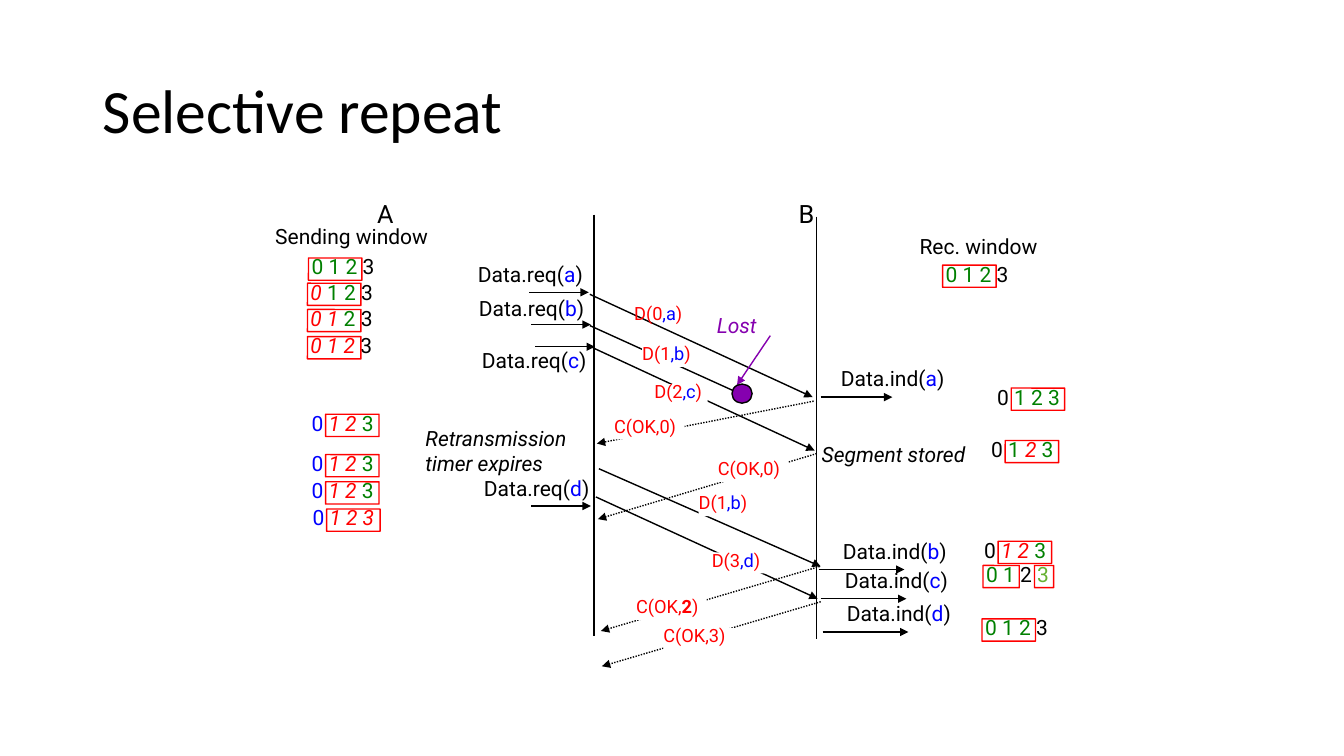
from lxml import etree
from pptx import Presentation
from pptx.dml.color import RGBColor
from pptx.enum.dml import MSO_LINE
from pptx.enum.shapes import MSO_CONNECTOR, MSO_SHAPE
from pptx.enum.text import MSO_ANCHOR, MSO_AUTO_SIZE, PP_ALIGN
from pptx.oxml.ns import qn
from pptx.util import Inches, Pt

STRAIGHT = MSO_CONNECTOR.STRAIGHT
FRAME, DOT = MSO_SHAPE.ROUNDED_RECTANGLE, MSO_SHAPE.OVAL
DOTTED = MSO_LINE.ROUND_DOT
TOP, MIDDLE = MSO_ANCHOR.TOP, MSO_ANCHOR.MIDDLE
LEFT, NO_FIT = PP_ALIGN.LEFT, MSO_AUTO_SIZE.NONE

CELL = 0.1  # inches per grid column and row
BLACK, WHITE, RED, BLUE = "000000", "FFFFFF", "FF0000", "0000FF"
GREEN, LIME, PURPLE = "008000", "66B132", "8500AF"

# One letter for the state of each sequence number: colour and italic
STATES = {"f": (GREEN, False), "s": (RED, True), "k": (BLACK, False),
          "b": (BLUE, False), "l": (LIME, False)}


def color(code):
    return RGBColor.from_string(code)


def grid(cells):
    return Inches(cells * CELL)


def write(paragraph, text, size=15, font="Roboto", fill=BLACK, italic=False, bold=False):
    for number, line in enumerate(text.split("\n")):
        if number:
            paragraph.add_line_break()
        run = paragraph.add_run()
        run.text = line
        run.font.size, run.font.name = Pt(size), font
        run.font.italic, run.font.bold = italic, bold
        run.font.color.rgb = color(fill)


class SequenceDiagram:
    digit_pitch = 1.7

    def __init__(self, slide):
        self.slide = slide

    def title(self, text, left, top, width, height):
        shape = self.slide.shapes.title
        shape.left, shape.top = grid(left), grid(top)
        shape.width, shape.height = grid(width), grid(height)
        frame = shape.text_frame
        frame.auto_size, frame.vertical_anchor = NO_FIT, MIDDLE
        paragraph = frame.paragraphs[0]
        paragraph.alignment, paragraph.line_spacing = LEFT, 0.9
        write(paragraph, text, size=44, font="Calibri")

    def label(self, left, top, width, height, runs, spacing=0.84, masked=False):
        box = self.slide.shapes.add_textbox(grid(left), grid(top), grid(width), grid(height))
        if masked:
            box.fill.solid()
            box.fill.fore_color.rgb = color(WHITE)
        frame = box.text_frame
        frame.word_wrap, frame.auto_size, frame.vertical_anchor = False, NO_FIT, TOP
        frame.margin_left = frame.margin_right = frame.margin_top = frame.margin_bottom = 0
        paragraph = frame.paragraphs[0]
        paragraph.alignment, paragraph.line_spacing = LEFT, spacing
        for text, style in runs:
            write(paragraph, text, **style)

    def note(self, left, top, width, height, text, fill=BLACK):
        self.label(left, top, width, height, [(text, dict(fill=fill, italic=True))], spacing=0.97)

    def line(self, start, end, fill=BLACK, arrow=True, dotted=False):
        connector = self.slide.shapes.add_connector(STRAIGHT, *map(grid, start + end))
        connector.line.width = Pt(1)
        connector.line.color.rgb = color(fill)
        if dotted:
            connector.line.dash_style = DOTTED
        properties = connector._element.spPr
        if arrow:
            etree.SubElement(properties.find(qn("a:ln")), qn("a:tailEnd"), type="triangle")
        etree.SubElement(properties, qn("a:effectLst"))

    def outline(self, kind, left, top, width, height, line, fill=None):
        shape = self.slide.shapes.add_shape(
            kind, grid(left), grid(top), grid(width), grid(height))
        shape.shadow.inherit = False
        shape.line.width = Pt(1)
        shape.line.color.rgb = color(line)
        if fill:
            shape.fill.solid()
            shape.fill.fore_color.rgb = color(fill)
        else:
            shape.fill.background()
        return shape

    def window(self, left, top, states, frames):
        """Sequence numbers with frames given as (first number, count)."""
        runs = []
        for number, state in enumerate(states):
            fill, italic = STATES[state]
            text = f"{number} " if number < len(states) - 1 else str(number)
            runs.append((text, dict(fill=fill, italic=italic)))
        self.label(left, top, 7, 2.2, runs)
        for first, count in frames:
            frame = self.outline(FRAME, left - 0.3 + first * self.digit_pitch, top,
                                 0.2 + count * self.digit_pitch, 2.2, RED)
            frame.adjustments[0] = 0.005

    def primitive(self, left, top, name, letter, start, length):
        self.label(left, top, 10.5, 2.2,
                   [(f"Data.{name}(", {}), (letter, dict(fill=BLUE)), (")", {})])
        self.line(start, (start[0] + length, start[1]))

    def data(self, start, end, left, top, number, letter, masked=True):
        self.line(start, end)
        red, blue = dict(size=13, fill=RED), dict(size=13, fill=BLUE)
        self.label(left, top, 5.3, 2.1,
                   [(f"D({number}", red), (f",{letter}", blue), (")", red)], masked=masked)

    def acknowledgement(self, start, end, left, top, number, bold=False):
        self.line(start, end, dotted=True)
        red = dict(size=13, fill=RED)
        self.label(left, top, 7, 2.1,
                   [("C(OK,", red), (number, dict(red, bold=bold)), (")", red)], masked=True)


def main():
    presentation = Presentation()
    presentation.slide_width, presentation.slide_height = Inches(13.33), Inches(7.5)
    slide = presentation.slides.add_slide(presentation.slide_layouts[5])
    diagram = SequenceDiagram(slide)
    diagram.title("Selective repeat", 9.2, 4, 115, 14.5)

    # Time axes and headings
    diagram.line((58.9, 21.3), (58.9, 63.1), arrow=False)
    diagram.line((81, 21.5), (81, 63.4), arrow=False)
    for left, top, width, text, size in [
            (37.4, 20.2, 2, "A", 18), (79.2, 20.2, 2, "B", 18),
            (27.3, 22.6, 15.3, "Sending window", 15), (91.2, 23.6, 11.9, "Rec. window", 15)]:
        diagram.label(left, top, width, 2.6, [(text, dict(size=size))])

    # Messages between A and B
    diagram.data((58.5, 29.2), (80.6, 39.4), 62.9, 30.3, 0, "a", masked=False)
    diagram.data((58.8, 34.5), (80.8, 44.7), 64.9, 38.1, 2, "c")
    diagram.acknowledgement((80.7, 39.8), (59.2, 44), 60.9, 41.5, "0")
    diagram.acknowledgement((81, 45), (59.3, 51.5), 71.2, 45.7, "0")
    diagram.data((58.5, 32.3), (73.7, 39.2), 63.7, 34.3, 1, "b")
    diagram.data((59.4, 46.5), (81.4, 56.2), 69.3, 49.1, 1, "b")
    diagram.data((59.1, 49.3), (81.1, 59.4), 70.6, 54.8, 3, "d")
    diagram.acknowledgement((81.3, 56.2), (59.6, 62.6), 63.1, 59.4, "2", bold=True)
    diagram.acknowledgement((81.4, 59.7), (59.7, 66.1), 65.8, 62.3, "3")

    # Lost segment and remarks
    diagram.line((76.4, 33.3), (73.1, 38.2), fill=PURPLE)
    diagram.outline(DOT, 72.6, 38.1, 2, 1.9, BLACK, PURPLE)
    diagram.note(71.1, 31.1, 4, 2.5, "Lost", PURPLE)
    diagram.note(81.5, 43.9, 14.9, 2.4, "Segment stored")
    diagram.note(42.2, 42.4, 14.9, 4.9, "Retransmission\ntimer expires")

    # Requests at A and indications at B
    for left, top, letter, start in [
            (47.4, 26.3, "a", (52.5, 29)), (47.5, 29.7, "b", (52.7, 32.2)),
            (47.8, 34.9, "c", (53.1, 34.4)), (48, 47.6, "d", (52.7, 50.2))]:
        diagram.primitive(left, top, "req", letter, start, 5.9)
    for left, top, letter, start, length in [
            (83.4, 36.7, "a", (81.4, 39.4), 7.1), (83.6, 53.8, "b", (81.2, 56.5), 8.5),
            (83.8, 56.7, "c", (81.4, 59.4), 8.5), (84, 60, "d", (81.6, 62.7), 8.5)]:
        diagram.primitive(left, top, "ind", letter, start, length)

    # Sending windows, then receiving windows
    first_three, last_three = [(0, 3)], [(1, 3)]
    for left, top, states, frames in [
            (30.9, 25.6, "fffk", first_three), (30.8, 28.1, "sffk", first_three),
            (30.8, 30.7, "ssfk", first_three), (30.8, 33.4, "sssk", first_three),
            (30.9, 41.1, "bssf", last_three), (30.9, 45.1, "bssf", last_three),
            (30.9, 47.8, "bssf", last_three), (31, 50.5, "bsss", last_three),
            (93.8, 26.3, "fffk", first_three), (98.9, 38.5, "kfff", last_three),
            (98.3, 43.7, "kfsf", last_three), (97.6, 53.7, "kssf", last_three),
            (97.8, 56.1, "ffkl", [(0, 2), (3, 1)]), (97.7, 61.4, "fffk", first_three)]:
        diagram.window(left, top, states, frames)

    presentation.save("out.pptx")


if __name__ == "__main__":
    main()
